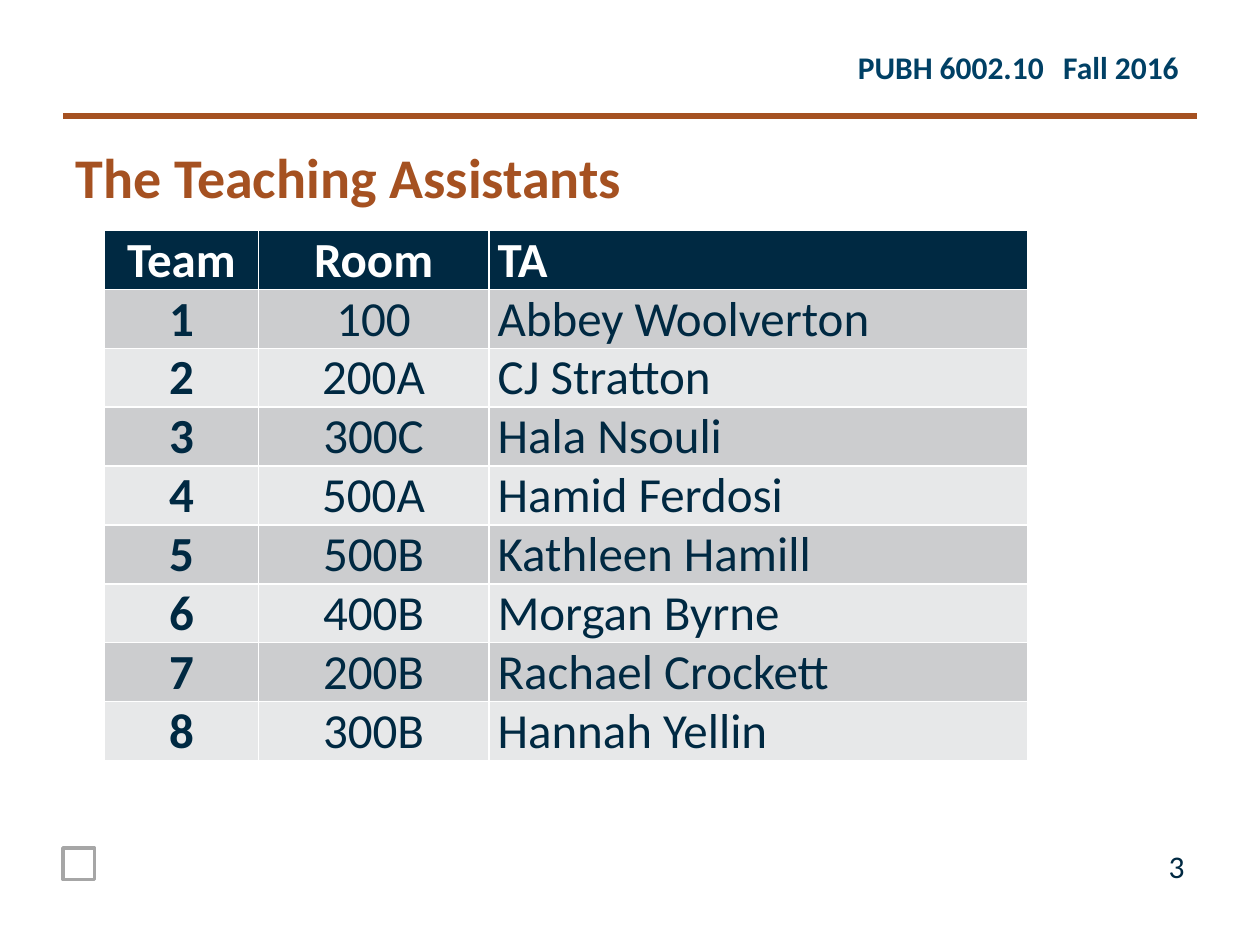
from lxml.etree import SubElement
from pptx import Presentation
from pptx.dml.color import RGBColor
from pptx.enum.shapes import MSO_CONNECTOR as CONN, MSO_SHAPE as SHAPE
from pptx.enum.text import MSO_ANCHOR as ANCHOR, PP_ALIGN as ALIGN
from pptx.oxml.ns import qn
from pptx.util import Inches, Pt

NAVY, RUST, BLUE = "002942", "A55121", "004065"
WHITE, GRAY = "FFFFFF", "A6A6A6"
BANDS = ["CCCDCF", "E7E8E9"]
HEADINGS = ["Team", "Room", "TA"]
ASSISTANTS = [
    ("100", "Abbey Woolverton"),
    ("200A", "CJ Stratton"),
    ("300C", "Hala Nsouli"),
    ("500A", "Hamid Ferdosi"),
    ("500B", "Kathleen Hamill"),
    ("400B", "Morgan Byrne"),
    ("200B", "Rachael Crockett"),
    ("300B", "Hannah Yellin"),
]


def rgb(value):
    return RGBColor.from_string(value)


class SlideBuilder:
    font = "Calibri"

    def __init__(self, s):
        self.s = s

    def run(self, p, text, size, color, bold=False):
        r = p.add_run()
        r.text = text
        r.font.name = self.font
        r.font.size = Pt(size)
        r.font.bold = bold
        r.font.color.rgb = rgb(color)

    def title(self, text, x, y, w, h):
        sp = self.s.shapes.title
        sp.left, sp.top, sp.width, sp.height = map(Inches, (x, y, w, h))
        tf = sp.text_frame
        tf.word_wrap = True
        tf.vertical_anchor = ANCHOR.TOP
        p = tf.paragraphs[0]
        p.alignment = ALIGN.LEFT
        self.run(p, text, 32, RUST, True)

    def text(self, text, x, y, w, h, color, bold=False, align=ALIGN.LEFT, tab=None):
        sp = self.s.shapes.add_textbox(*map(Inches, (x, y, w, h)))
        tf = sp.text_frame
        tf.word_wrap = False
        p = tf.paragraphs[0]
        p.alignment = align
        if tab:
            tabs = SubElement(p._p.get_or_add_pPr(), qn("a:tabLst"))
            SubElement(tabs, qn("a:tab"), pos=str(Inches(tab)), algn="l")
        self.run(p, text, 18, color, bold)

    def line(self, x1, y1, x2, y2, color, width):
        cn = self.s.shapes.add_connector(CONN.STRAIGHT, *map(Inches, (x1, y1, x2, y2)))
        cn.line.color.rgb = rgb(color)
        cn.line.width = Pt(width)
        SubElement(cn._element.spPr, qn("a:effectLst"))

    def box(self, x, y, w, h, color, width):
        sp = self.s.shapes.add_shape(SHAPE.RECTANGLE, *map(Inches, (x, y, w, h)))
        sp.shadow.inherit = False
        sp.fill.background()
        sp.line.color.rgb = rgb(color)
        sp.line.width = Pt(width)

    def cell(self, cell, text, fill, color, bold, align):
        cell.margin_left = cell.margin_right = Inches(0.07)
        cell.margin_top = cell.margin_bottom = 0
        cell.fill.solid()
        cell.fill.fore_color.rgb = rgb(fill)
        p = cell.text_frame.paragraphs[0]
        p.alignment = align
        self.run(p, text, 28, color, bold)

    def table(self, rows, x, y, widths, row_height):
        size = (sum(widths), row_height * len(rows))
        frame = self.s.shapes.add_table(
            len(rows), len(widths), *map(Inches, (x, y, *size)))
        tbl = frame.table
        for col, width in zip(tbl.columns, widths):
            col.width = Inches(width)
        for i, row in enumerate(rows):
            tbl.rows[i].height = Inches(row_height)
            head = i == 0
            fill = NAVY if head else BANDS[(i - 1) % 2]
            for j, text in enumerate(row):
                align = ALIGN.LEFT if j == 2 else ALIGN.CENTER
                self.cell(tbl.cell(i, j), text, fill, WHITE if head else NAVY,
                          head or j == 0, align)


def main():
    prs = Presentation()
    prs.slide_width, prs.slide_height = Inches(10), Inches(7.5)
    b = SlideBuilder(prs.slides.add_slide(prs.slide_layouts[5]))
    b.line(0.5, 0.92, 9.5, 0.92, RUST, 3)
    b.text("PUBH 6002.10\tFall 2016", 6.71, 0.33, 2.79, 0.4, BLUE, True, tab=1.63)
    b.text("3", 9, 6.67, 0.5, 0.4, NAVY, align=ALIGN.RIGHT)
    b.box(0.5, 6.73, 0.25, 0.25, GRAY, 2)
    b.title("The Teaching Assistants", 0.5, 1.08, 9, 0.7)
    rows = [HEADINGS] + [(str(n), *ta) for n, ta in enumerate(ASSISTANTS, 1)]
    b.table(rows, 0.83, 1.83, [1.22, 1.83, 4.28], 0.42)
    prs.save("out.pptx")


if __name__ == "__main__":
    main()
